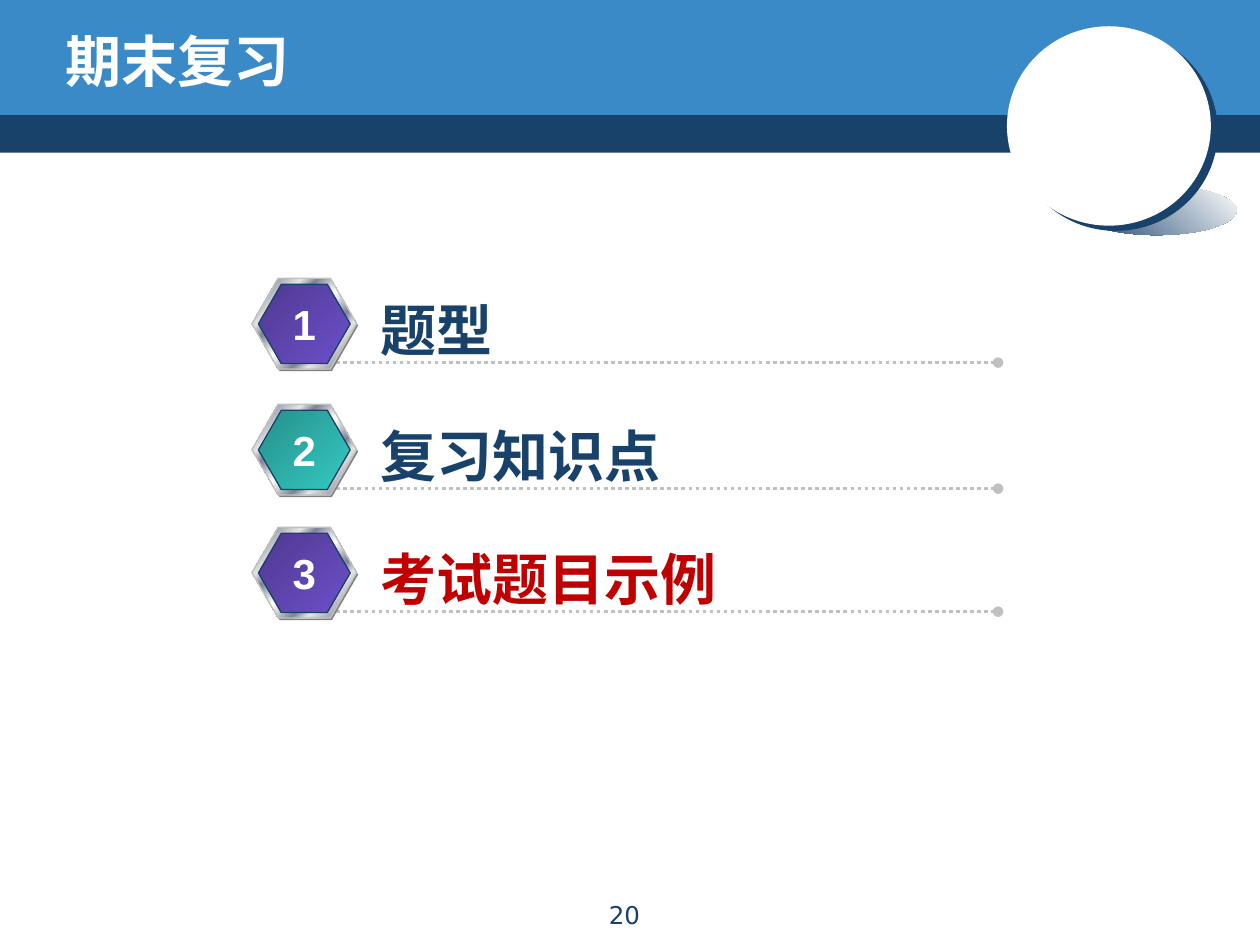
import lxml.etree
import pptx
import pptx.dml.color
import pptx.enum.shapes
import pptx.enum.text
import pptx.oxml
import pptx.oxml.ns
import pptx.util

Cm = pptx.util.Cm
Pt = pptx.util.Pt
color = pptx.dml.color.RGBColor.from_string
qn = pptx.oxml.ns.qn
Preset = pptx.enum.shapes.MSO_SHAPE
Align = pptx.enum.text.PP_ALIGN
Anchor = pptx.enum.text.MSO_ANCHOR

NAVY, BLUE, WHITE, SILVER = "19426B", "398AC7", "FFFFFF", "C0C0C0"
VIOLET = [(0, "4E3990"), (100, "6D50CA")]
TEAL = [(0, "26908B"), (100, "35C9C2")]
HALF_METAL = [(0, "E6E6E6"), (7, "7D8496"), (26, "E6E6E6"), (34, "7D8496"), (46, "E6E6E6")]
METAL = HALF_METAL + [(50, WHITE)] + [(100 - stop, tint) for stop, tint in reversed(HALF_METAL)]


def add_filled_shape(parent, preset, box, fill, angle=45, outline=None):
    """Box is left, top, width, height in cm; fill is a colour or gradient stops."""
    shape = parent.add_shape(preset, *[Cm(length) for length in box])
    shape.shadow.inherit = False
    if isinstance(fill, str):
        shape.fill.solid()
        shape.fill.fore_color.rgb = color(fill)
    else:
        gradient = lxml.etree.Element(qn("a:gradFill"), rotWithShape="1")
        stops = lxml.etree.SubElement(gradient, qn("a:gsLst"))
        for position, tint in fill:
            stop = lxml.etree.SubElement(stops, qn("a:gs"), pos=str(position * 1000))
            lxml.etree.SubElement(stop, qn("a:srgbClr"), val=tint)
        lxml.etree.SubElement(gradient, qn("a:lin"), ang=str(angle * 60000), scaled="0")
        shape._element.spPr.find(qn("a:prstGeom")).addnext(gradient)
    if outline:
        shape.line.color.rgb = color(outline)
        shape.line.width = Pt(0.75)
    else:
        shape.line.fill.background()
    if preset == Preset.HEXAGON:
        shape.adjustments[0] = 0.289
        shape.adjustments[1] = 1.155
    return shape


def add_text(box, text, size, tint, font="Arial", bold=True, align=Align.LEFT, wrap=False):
    text_box = slide.shapes.add_textbox(*[Cm(length) for length in box])
    frame = text_box.text_frame
    frame.word_wrap = wrap
    paragraph = frame.paragraphs[0]
    paragraph.text = text
    paragraph.alignment = align
    paragraph.font.size = Pt(size)
    paragraph.font.name = font
    paragraph.font.bold = bold
    paragraph.font.color.rgb = color(tint)
    return frame


presentation = pptx.Presentation()
presentation.slide_width = Cm(25.4)
presentation.slide_height = Cm(19.05)
slide = presentation.slides.add_slide(presentation.slide_layouts[6])

# Header bands and the white disc
add_filled_shape(slide.shapes, Preset.RECTANGLE, (0, 2.21, 25.4, 0.87), NAVY)
add_filled_shape(slide.shapes, Preset.RECTANGLE, (0, 0, 25.4, 2.32), BLUE)
ornament = slide.shapes.add_group_shape().shapes
add_filled_shape(ornament, Preset.OVAL, (21.7, 3.74, 3.23, 1), [(0, NAVY), (100, WHITE)], angle=315)
disc = add_filled_shape(ornament, Preset.OVAL, (20.3, 0.53, 4.11, 4.02), WHITE)
shadow = lxml.etree.SubElement(
    disc._element.spPr.find(qn("a:effectLst")), qn("a:outerShdw"),
    blurRad="0", dist=str(Pt(5)), dir=str(37 * 60000), algn="ctr", rotWithShape="0")
lxml.etree.SubElement(shadow, qn("a:srgbClr"), val=NAVY)
add_filled_shape(ornament, Preset.OVAL, (21.7, 1.73, 1.45, 1.5), WHITE)

title = add_text((1.07, 0.43, 20.52, 1.57), "期末复习", 32, WHITE, font="Comic Neue", wrap=True)
title.vertical_anchor = Anchor.MIDDLE

# Agenda: top, label, label width, label colour, badge gradient
agenda = [
    (5.61, "题型", 2.79, NAVY, VIOLET),
    (8.15, "复习知识点", 6.22, NAVY, TEAL),
    (10.63, "考试题目示例", 7.39, "C00000", VIOLET),
]
for number, (top, label, label_width, label_color, badge_fill) in enumerate(agenda, start=1):
    rule = slide.shapes.add_connector(
        pptx.enum.shapes.MSO_CONNECTOR.STRAIGHT,
        Cm(6.78), Cm(top + 1.7), Cm(20.12), Cm(top + 1.7))
    rule.line.color.rgb = color(SILVER)
    rule.line.width = Pt(2)
    rule.line.dash_style = pptx.enum.dml.MSO_LINE.ROUND_DOT
    lxml.etree.SubElement(rule.line._get_or_add_ln(), qn("a:tailEnd"), type="oval")
    lxml.etree.SubElement(rule._element.spPr, qn("a:effectLst"))

    badge = slide.shapes.add_group_shape().shapes
    add_filled_shape(badge, Preset.HEXAGON, (5.11, top + 0.04, 2.11, 1.83), "808080")
    add_filled_shape(badge, Preset.HEXAGON, (5.08, top, 2.11, 1.83), METAL, outline=SILVER)
    add_filled_shape(badge, Preset.HEXAGON, (5.21, top + 0.12, 1.85, 1.6), badge_fill, outline=NAVY)

    add_text((7.42, top + 0.23, label_width, 1.63), label, 32, label_color)
    add_text((5.64, top + 0.28, 0.99, 1.27), str(number), 24, WHITE, align=Align.CENTER)

add_text((10.29, 18.01, 4.6, 0.81), "20", 14, NAVY, font="DejaVu Sans", bold=False,
         align=Align.CENTER, wrap=True)

presentation.save("out.pptx")
